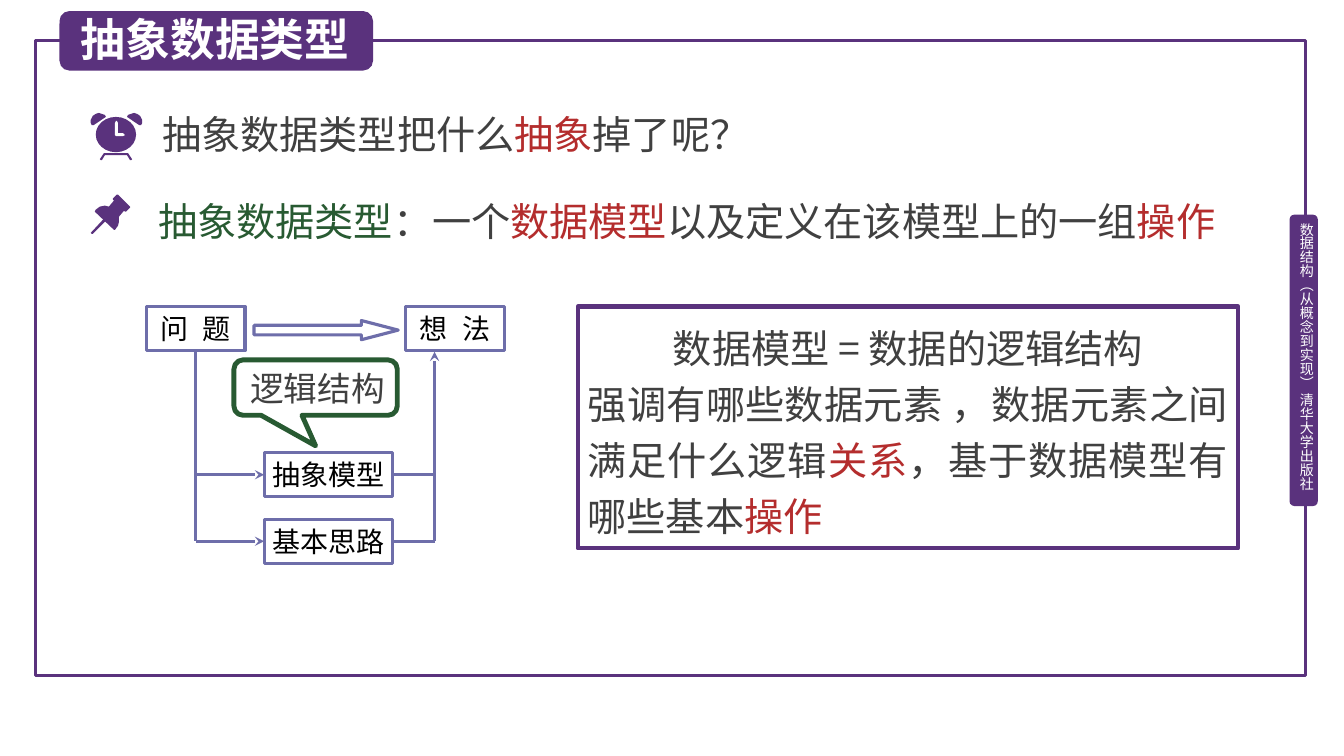
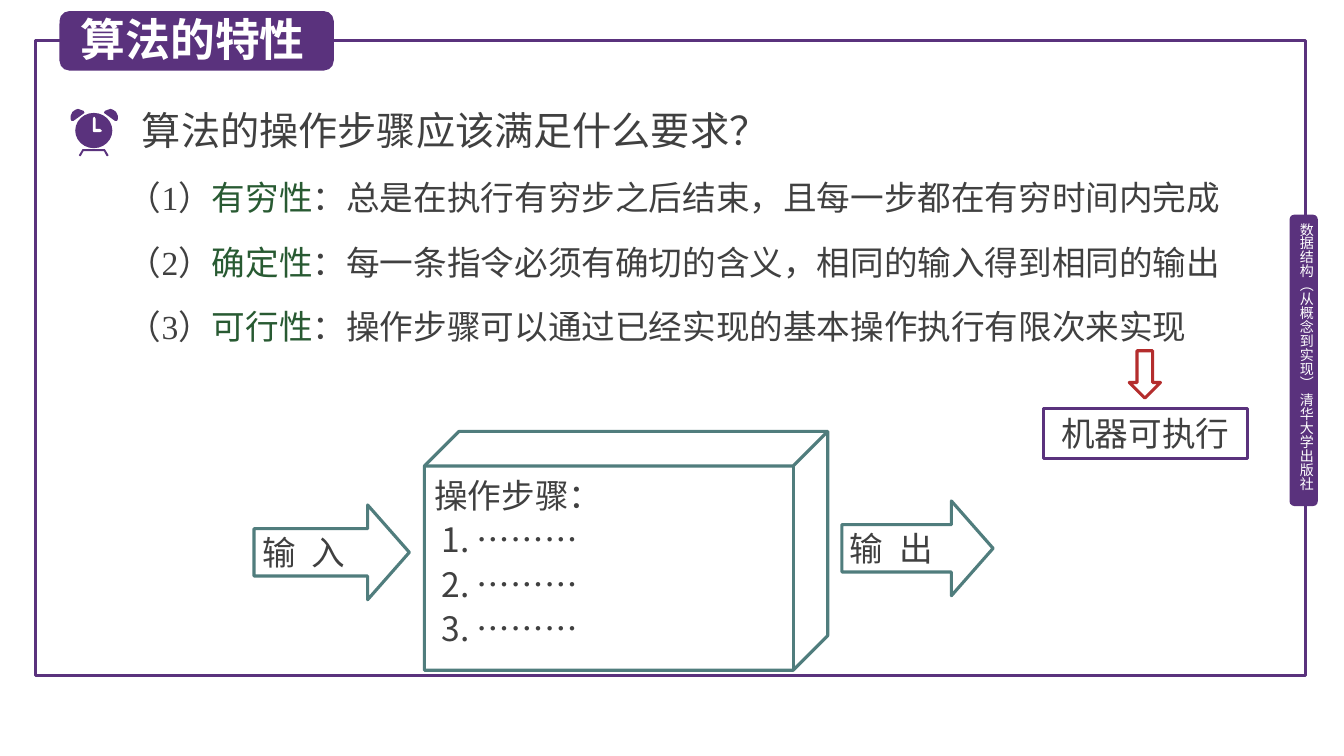
from lxml import etree
from pptx import Presentation
from pptx.dml.color import RGBColor
from pptx.enum.shapes import MSO_CONNECTOR, MSO_SHAPE
from pptx.enum.text import MSO_ANCHOR, MSO_AUTO_SIZE, PP_ALIGN
from pptx.oxml.ns import qn
from pptx.util import Inches, Pt

RECTANGLE, ROUNDED = MSO_SHAPE.RECTANGLE, MSO_SHAPE.ROUNDED_RECTANGLE
RIGHT_ARROW, DOWN_ARROW = MSO_SHAPE.RIGHT_ARROW, MSO_SHAPE.DOWN_ARROW
OVAL, CUBE = MSO_SHAPE.OVAL, MSO_SHAPE.CUBE
CALLOUT = MSO_SHAPE.ROUNDED_RECTANGULAR_CALLOUT
STRAIGHT = MSO_CONNECTOR.STRAIGHT
TOP, MIDDLE = MSO_ANCHOR.TOP, MSO_ANCHOR.MIDDLE
LEFT, CENTER, JUSTIFY = PP_ALIGN.LEFT, PP_ALIGN.CENTER, PP_ALIGN.JUSTIFY

SANS, SERIF = "Noto Sans CJK SC", "Times New Roman"
PURPLE, GREEN, RED, TEAL, BLUE = "5A327D", "285A32", "B42D2D", "507D7D", "6E6EAA"
GRAY, BLACK, WHITE = "404040", "000000", "FFFFFF"
rgb = RGBColor.from_string


def paint(shape, fill=None, line=None, width=2.25):
    """Set fill and outline; None means there is none."""
    shape.shadow.inherit = False
    if fill:
        shape.fill.solid()
        shape.fill.fore_color.rgb = rgb(fill)
    else:
        shape.fill.background()
    if line:
        shape.line.color.rgb = rgb(line)
        shape.line.width = Pt(width)
    else:
        shape.line.fill.background()
    return shape


def write(shape, paragraphs, size, color=GRAY, font=SANS, bold=False, align=LEFT,
          anchor=TOP, spacing=None, margins=(0.1, 0.05, 0.1, 0.05), spread=0):
    """Fill a shape with paragraphs, each a list of (text, color) runs."""
    frame = shape.text_frame
    frame.word_wrap = True
    frame.auto_size = MSO_AUTO_SIZE.NONE
    frame.vertical_anchor = anchor
    (frame.margin_left, frame.margin_top,
     frame.margin_right, frame.margin_bottom) = map(Inches, margins)
    for index, runs in enumerate(paragraphs):
        paragraph = frame.add_paragraph() if index else frame.paragraphs[0]
        paragraph.alignment = align
        paragraph.line_spacing = spacing
        paragraph.font.size = Pt(size)
        paragraph.font.name = font
        paragraph.font.bold = bold
        paragraph.font.color.rgb = rgb(color)
        for text, run_color in runs:
            run = paragraph.add_run()
            run.text = text
            if run_color != color:
                run.font.color.rgb = rgb(run_color)
    if spread:
        for properties in shape.element.iter(qn("a:defRPr")):
            properties.set("spc", str(spread * 100))
    return shape


presentation = Presentation()
presentation.slide_width, presentation.slide_height = Inches(13.33), Inches(7.5)
layout = presentation.slide_layouts.get_by_name("Title Only")

# Slides with their title tabs
slides = []
for title_text, tab_width in (("抽象数据类型", 3.11), ("算法的特性", 2.72)):
    slide = presentation.slides.add_slide(layout)
    slides.append(slide)
    paint(slide.shapes.add_shape(ROUNDED, Inches(0.59), Inches(0.11),
                                 Inches(tab_width), Inches(0.59)), PURPLE)
    title = slide.shapes.title
    title.left, title.top, title.width, title.height = map(Inches, (0.7, 0.07, 2.98, 0.64))
    write(title, [[(title_text, WHITE)]], 32, WHITE, bold=True)
    slide.shapes.element.append(title.element)
type_slide, algorithm_slide = slides

# Frame and side band, moved to the shared layout
shapes = type_slide.shapes
frame_box = paint(shapes.add_shape(RECTANGLE, Inches(0.35), Inches(0.4),
                                   Inches(12.6), Inches(6.3)), line=PURPLE)
band = paint(shapes.add_shape(ROUNDED, Inches(12.79), Inches(2.13),
                              Inches(0.28), Inches(2.89)), PURPLE)
band_text = shapes.add_textbox(Inches(12.87), Inches(2.21), Inches(0.17), Inches(2.81))
write(band_text, [[("数据结构（从概念到实现） 清华大学出版社", WHITE)]], 10, WHITE,
      margins=(0, 0, 0, 0))
band_text.element.find(".//" + qn("a:bodyPr")).set("vert", "eaVert")
for shape in (frame_box, band, band_text):
    layout.shapes.element.append(shape.element)

# Icon outlines, in hundredths of an inch
left_bell = [(8, 0), (5, 1), (2, 3), (0, 7), (0, 10), (1, 12), (3, 12),
             (15, 4), (14, 2), (11, 1)]
right_bell = [(51 - x, y) for x, y in left_bell]
stand = [(9, 46), (13, 40), (37, 40), (41, 46), (40, 47), (39, 47),
         (36, 42), (14, 42), (11, 47), (10, 47)]
hands = [(24, 10), (25, 8), (26, 8), (27, 10), (27, 20), (32, 20), (34, 22),
         (32, 23), (25, 23), (24, 22)]
pin_head = [(39, 12), (27, 0), (26, 0), (22, 4), (22, 5), (23, 6), (18, 12),
            (14, 11), (9, 12), (5, 15), (4, 17), (23, 35), (24, 35), (27, 31),
            (28, 27), (28, 22), (33, 16), (34, 17), (35, 17), (39, 13)]
pin_needle = [(2, 39), (1, 39), (0, 38), (13, 24), (15, 24), (15, 26)]
clock = [(left_bell, PURPLE), (right_bell, PURPLE), (stand, PURPLE), (hands, WHITE)]
pin = [(pin_head, PURPLE), (pin_needle, PURPLE)]

# Clock and pin icons
for slide, left, top, stretch, outlines in ((type_slide, 0.9, 1.12, 1, clock),
                                            (algorithm_slide, 0.7, 1.08, 0.92, clock),
                                            (type_slide, 0.9, 1.93, 1, pin)):
    if outlines is clock:
        paint(slide.shapes.add_shape(OVAL, Inches(left + 0.05 * stretch), Inches(top + 0.04),
                                     Inches(0.4 * stretch), Inches(0.35)), PURPLE)
    for points, color in outlines:
        builder = slide.shapes.build_freeform(
            *points[0], scale=(Inches(0.01) * stretch, Inches(0.01)))
        builder.add_line_segments(points[1:])
        paint(builder.convert_to_shape(Inches(left), Inches(top)), color)

# Text lines of both slides
properties_list = [
    ("（1）", "有穷性", "：总是在执行有穷步之后结束，且每一步都在有穷时间内完成"),
    ("（2）", "确定性", "：每一条指令必须有确切的含义，相同的输入得到相同的输出"),
    ("（3）", "可行性", "：操作步骤可以通过已经实现的基本操作执行有限次来实现"),
]
lines = [
    (type_slide, 1.51, 1.05, 28, SANS, None,
     [("抽象数据类型把什么", GRAY), ("抽象", RED), ("掉了呢？", GRAY)]),
    (type_slide, 1.47, 1.86, 28, SANS, 1.1,
     [("抽象数据类型", GREEN), ("：一个", GRAY), ("数据模型", RED),
      ("以及定义在该模型上的一组", GRAY), ("操作", RED)]),
    (algorithm_slide, 1.31, 1.01, 28, SANS, None,
     [("算法的操作步骤应该满足什么要求？", GRAY)]),
]
for index, (number, term, meaning) in enumerate(properties_list):
    lines.append((algorithm_slide, 1.17, 1.71 + 0.64 * index, 24, SERIF, None,
                  [(number, GRAY), (term, GREEN), (meaning, GRAY)]))
for slide, left, top, size, font, spacing, runs in lines:
    textbox = slide.shapes.add_textbox(Inches(left), Inches(top), Inches(11.45), Inches(0.57))
    write(textbox, [runs], size, font=font, spacing=spacing)

# Slide 1: flow from problem to idea
boxes = {}
for text, left, top, width, spread in (("问 题", 1.45, 3.04, 0.98, 3),
                                       ("想 法", 4.02, 3.04, 0.98, 3),
                                       ("抽象模型", 2.62, 4.49, 1.27, 0),
                                       ("基本思路", 2.62, 5.15, 1.27, 0)):
    box = paint(shapes.add_shape(RECTANGLE, Inches(left), Inches(top),
                                 Inches(width), Inches(0.44)), line=BLUE)
    boxes[text] = write(box, [[(text, BLACK)]], 20, BLACK, align=CENTER, anchor=MIDDLE,
                        margins=(0.06, 0.01, 0.06, 0.01), spread=spread)
problem, idea, model, approach = boxes.values()
flow_arrow = paint(shapes.add_shape(RIGHT_ARROW, Inches(2.52), Inches(3.18),
                                    Inches(1.43), Inches(0.19)), line=BLUE)
flow_arrow.adjustments[1] = 1.918

for start, end, begin_join, end_join, arrow in (
        ((1.94, 3.48), (1.94, 5.37), (problem, 2), None, False),
        ((1.94, 4.71), (2.62, 4.71), None, (model, 1), True),
        ((1.94, 5.37), (2.62, 5.37), None, (approach, 1), True),
        ((4.31, 5.37), (4.31, 3.49), None, None, True),
        ((3.89, 4.71), (4.31, 4.71), (model, 3), None, False),
        ((3.89, 5.37), (4.31, 5.37), (approach, 3), None, False)):
    connector = shapes.add_connector(STRAIGHT, *map(Inches, start + end))
    if begin_join:
        connector.begin_connect(*begin_join)
    if end_join:
        connector.end_connect(*end_join)
    connector.line.color.rgb = rgb(BLUE)
    connector.line.width = Pt(2.25)
    if arrow:
        etree.SubElement(connector.line.fill and connector.element.spPr.find(qn("a:ln")),
                         qn("a:tailEnd"), type="stealth")
    etree.SubElement(connector.element.spPr, qn("a:effectLst"))

callout = paint(shapes.add_shape(CALLOUT, Inches(2.32), Inches(3.57),
                                 Inches(1.62), Inches(0.55)), line=GREEN, width=3.5)
callout.adjustments[0], callout.adjustments[1] = 0, 1.05
write(callout, [[("逻辑结构", GRAY)]], 24, align=CENTER, anchor=MIDDLE,
      margins=(0.04, 0, 0, 0))

# Slide 1: explanation of the data model
explanation = paint(shapes.add_shape(RECTANGLE, Inches(5.73), Inches(3.04),
                                     Inches(6.55), Inches(2.4)), line=PURPLE, width=3)
write(explanation, [
    [("数据模型 = 数据的逻辑结构", GRAY)],
    [("强调有哪些数据元素 ，数据元素之间满足什么逻辑", GRAY), ("关系", RED),
     ("，基于数据模型有哪些基本", GRAY), ("操作", RED)],
], 28, align=JUSTIFY, anchor=MIDDLE, spacing=Pt(40))
explanation.text_frame.paragraphs[0].alignment = CENTER

# Slide 2: input, steps, output
shapes = algorithm_slide.shapes
for text, left, top, width in (("输 入", 2.52, 5.01, 1.54), ("输 出", 8.35, 4.97, 1.5)):
    arrow = paint(shapes.add_shape(RIGHT_ARROW, Inches(left), Inches(top),
                                   Inches(width), Inches(0.94)), line=TEAL)
    arrow.adjustments[1] = 0.44
    write(arrow, [[(text, GRAY)]], 24, anchor=MIDDLE,
          margins=(0.08, 0.05, 0.1, 0.05), spread=3)

cube = paint(shapes.add_shape(CUBE, Inches(4.21), Inches(4.28),
                              Inches(4), Inches(2.37)), line=TEAL)
cube.adjustments[0] = 0.145
steps = ["操作步骤："] + [f"{number}. ………" for number in (1, 2, 3)]
write(cube, [[(step, GRAY)] for step in steps], 24, spacing=1.1)
for properties in list(cube.element.iter(qn("a:pPr")))[1:]:
    properties.set("marL", str(Inches(0.07)))

# Slide 2: note under the third property
paint(shapes.add_shape(DOWN_ARROW, Inches(11.2), Inches(3.48),
                       Inches(0.31), Inches(0.47)), line=RED)
note = paint(shapes.add_shape(RECTANGLE, Inches(10.35), Inches(4.05),
                              Inches(2.02), Inches(0.5)), line=PURPLE)
write(note, [[("机器可执行", GRAY)]], 24, font=SERIF, align=CENTER)

# East Asian font for all text
for part in (layout, *slides):
    for latin in list(part.element.iter(qn("a:latin"))):
        latin.addnext(etree.Element(qn("a:ea"), typeface=SANS))

presentation.save("out.pptx")
